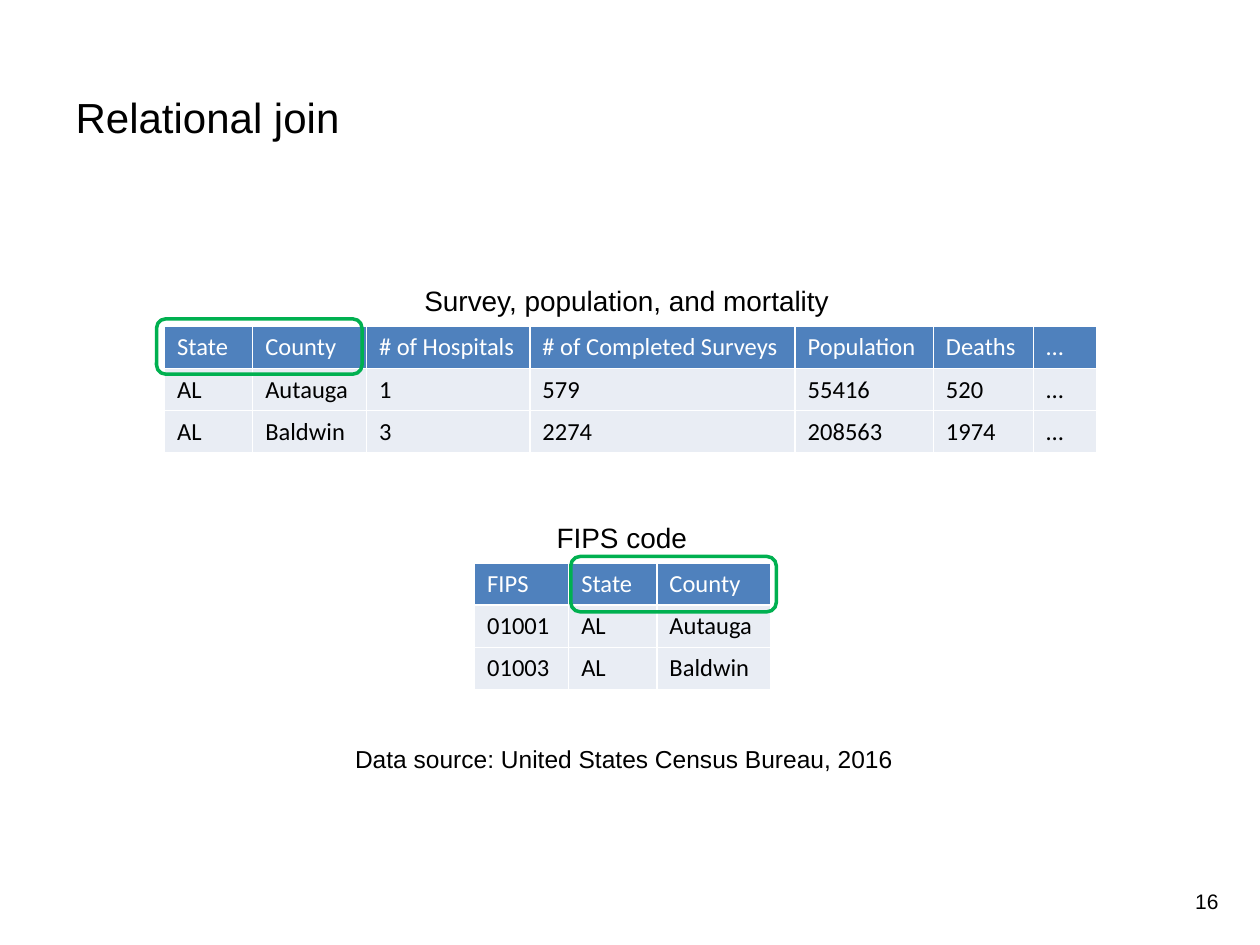
"""Build the slide on relational joins, with two tables and their shared keys outlined."""
from pptx import Presentation
from pptx.dml.color import RGBColor
from pptx.enum.shapes import MSO_SHAPE
from pptx.enum.text import MSO_ANCHOR, PP_ALIGN
from pptx.util import Pt


def color(hex_code):
    return RGBColor.from_string(hex_code)


def style(paragraph, name, size, hex_code="000000", align=PP_ALIGN.LEFT):
    paragraph.alignment = align
    paragraph.font.name = name
    paragraph.font.size = Pt(size)
    paragraph.font.bold = False
    paragraph.font.color.rgb = color(hex_code)


deck = Presentation()
deck.slide_width, deck.slide_height = Pt(720), Pt(540)
page = deck.slides.add_slide(deck.slide_layouts[5])

title = page.shapes.title
title.left, title.top, title.width, title.height = Pt(36), Pt(21.6), Pt(648), Pt(90)
title.text_frame.text = "Relational join"
title.text_frame.vertical_anchor = MSO_ANCHOR.MIDDLE
style(title.text_frame.paragraphs[0], "Arial", 24)

number = page.shapes.add_textbox(Pt(656.6), Pt(500.4), Pt(46.8), Pt(28.8))
number.text_frame.text = "16"
number.text_frame.word_wrap = True
number.text_frame.vertical_anchor = MSO_ANCHOR.MIDDLE
style(number.text_frame.paragraphs[0], "Arial", 12, align=PP_ALIGN.RIGHT)

row_height = 24
fips_rows = [
    ["FIPS", "State", "County"],
    ["01001", "AL", "Autauga"],
    ["01003", "AL", "Baldwin"],
]
survey_rows = [
    ["State", "County", "# of Hospitals", "# of Completed Surveys", "Population", "Deaths", "…"],
    ["AL", "Autauga", "1", "579", "55416", "520", "…"],
    ["AL", "Baldwin", "3", "2274", "208563", "1974", "…"],
]
tables = [
    (271.2, 321.8, [53.8, 50.4, 65], fips_rows),
    (94, 186.5, [50.4, 65, 93.4, 151.6, 79, 57.4, 36], survey_rows),
]
for left, top, widths, rows in tables:
    frame = page.shapes.add_table(
        len(rows), len(widths), Pt(left), Pt(top), Pt(sum(widths)), Pt(row_height * len(rows)))
    table = frame.table
    for column, width in zip(table.columns, widths):
        column.width = Pt(width)
    for row_index, values in enumerate(rows):
        fill, ink = ("E9EDF4", "000000") if row_index else ("4F81BD", "FFFFFF")
        for column_index, value in enumerate(values):
            cell = table.cell(row_index, column_index)
            cell.text = value
            cell.fill.solid()
            cell.fill.fore_color.rgb = color(fill)
            style(cell.text_frame.paragraphs[0], "Calibri", 14, ink)

captions = [
    ("FIPS code", 311, 293.8, 90, 26.6, 16),
    ("Data source: United States Census Bureau, 2016", 195.8, 421.9, 327.6, 24.5, 14),
    ("Survey, population, and mortality", 235.4, 158.4, 248.4, 26.6, 16),
]
for text, left, top, width, height, size in captions:
    box = page.shapes.add_textbox(Pt(left), Pt(top), Pt(width), Pt(height))
    box.text_frame.text = text
    box.text_frame.word_wrap = False
    style(box.text_frame.paragraphs[0], "Arial", size)

for left, top in [(89.5, 182.2), (326.2, 318)]:
    key_outline = page.shapes.add_shape(
        MSO_SHAPE.ROUNDED_RECTANGLE, Pt(left), Pt(top), Pt(117.4), Pt(31.6))
    key_outline.shadow.inherit = False
    key_outline.fill.background()
    key_outline.line.color.rgb = color("00B050")
    key_outline.line.width = Pt(2)

deck.save("out.pptx")
